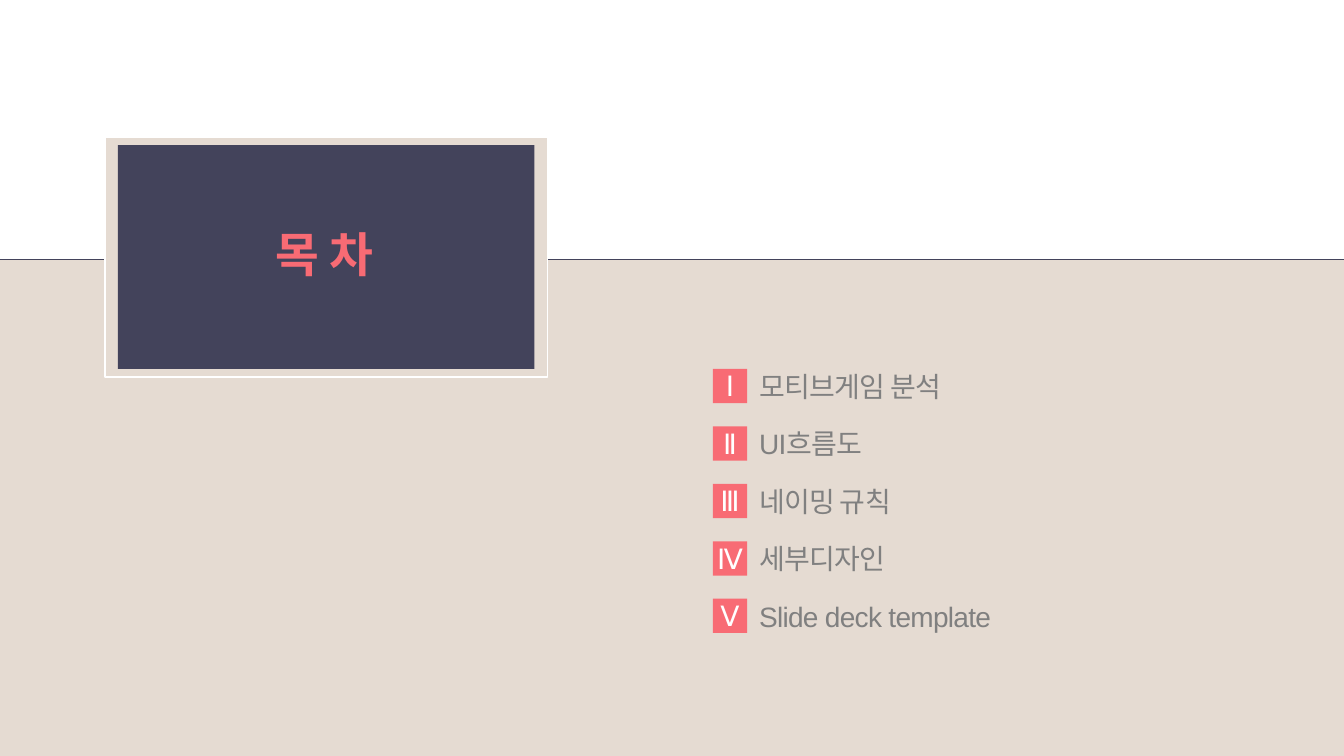
from lxml import etree
from pptx import Presentation
from pptx.dml.color import RGBColor
from pptx.enum.shapes import MSO_CONNECTOR, MSO_SHAPE
from pptx.enum.text import MSO_ANCHOR as ANCHOR, PP_ALIGN as ALIGN
from pptx.oxml.ns import qn
from pptx.util import Emu, Pt

WIDTH, HEIGHT = 1333, 750
HORIZON = 257
SAND, NAVY, CORAL, GRAY, WHITE = "E5DBD2", "43435B", "F86B74", "808080", "FFFFFF"
CONTENTS = [
    ("Ⅰ", "모티브게임 분석"),
    ("Ⅱ", "UI흐름도"),
    ("Ⅲ", "네이밍 규칙"),
    ("Ⅳ", "세부디자인"),
    ("Ⅴ", "Slide deck template"),
]
ROW_TOP, ROW_PITCH = 366, 57
BADGE_LEFT, BADGE_SIZE = 707, 34


def px(n):
    """Turn px, at 100 to the inch, into EMU."""
    return Emu(n * 9144)


def color(value):
    return RGBColor.from_string(value)


class SlideBuilder:
    font = "Arial"

    def __init__(self, slide):
        self.shapes = slide.shapes

    def rect(self, x, y, w, h, fill, line=None):
        sp = self.shapes.add_shape(MSO_SHAPE.RECTANGLE, px(x), px(y), px(w), px(h))
        sp.shadow.inherit = False
        sp.fill.solid()
        sp.fill.fore_color.rgb = color(fill)
        if line:
            sp.line.color.rgb = color(line)
            sp.line.width = Pt(1.25)
        else:
            sp.line.fill.background()
        return sp

    def rule(self, y, stroke):
        cxn = self.shapes.add_connector(
            MSO_CONNECTOR.STRAIGHT, 0, px(y), px(WIDTH), px(y))
        cxn.line.color.rgb = color(stroke)
        cxn.line.width = Pt(0.5)
        etree.SubElement(cxn._element.spPr, qn("a:effectLst"))

    def set_text(self, sp, text, size, fill, align=ALIGN.LEFT, bold=False,
                 spacing=0, after=0):
        """Put one styled line in a shape; spacing is in hundredths of a point."""
        tf = sp.text_frame
        tf.text = text
        tf.vertical_anchor = ANCHOR.MIDDLE
        tf.word_wrap = align == ALIGN.LEFT
        p = tf.paragraphs[0]
        p.alignment = align
        p.space_after = Pt(after)
        r = p.runs[0]
        r.font.name = self.font
        r.font.size = Pt(size)
        r.font.bold = bold
        r.font.color.rgb = color(fill)
        if spacing:
            r._r.get_or_add_rPr().set("spc", str(spacing))

    def text(self, x, y, w, h, *args, **style):
        sp = self.shapes.add_textbox(px(x), px(y), px(w), px(h))
        self.set_text(sp, *args, **style)

    def badge(self, x, y, size, numeral, **style):
        sp = self.rect(x, y, size, size, CORAL)
        tf = sp.text_frame
        tf.margin_left = tf.margin_right = tf.margin_top = px(4)
        tf.margin_bottom = px(5)
        self.set_text(sp, numeral, 20, WHITE, align=ALIGN.CENTER, **style)


def main():
    prs = Presentation()
    prs.slide_width, prs.slide_height = px(WIDTH), px(HEIGHT)
    s = SlideBuilder(prs.slides.add_slide(prs.slide_layouts[6]))

    s.rect(0, HORIZON, WIDTH, HEIGHT - HORIZON, SAND)
    s.rule(HORIZON, NAVY)
    s.rect(104, 136, 439, 238, SAND, line=WHITE)
    s.rect(117, 144, 413, 222, NAVY)

    entry_style = {"spacing": -50, "after": 10}
    for i, (numeral, title) in enumerate(CONTENTS):
        y = ROW_TOP + i * ROW_PITCH
        s.text(743, y - 5, 393, 44, title, 20, GRAY, **entry_style)
        s.badge(BADGE_LEFT, y, BADGE_SIZE, numeral, **entry_style)

    s.text(174, 221, 295, 61, "목 차", 34, CORAL, align=ALIGN.CENTER, bold=True)
    prs.save("out.pptx")


if __name__ == "__main__":
    main()
